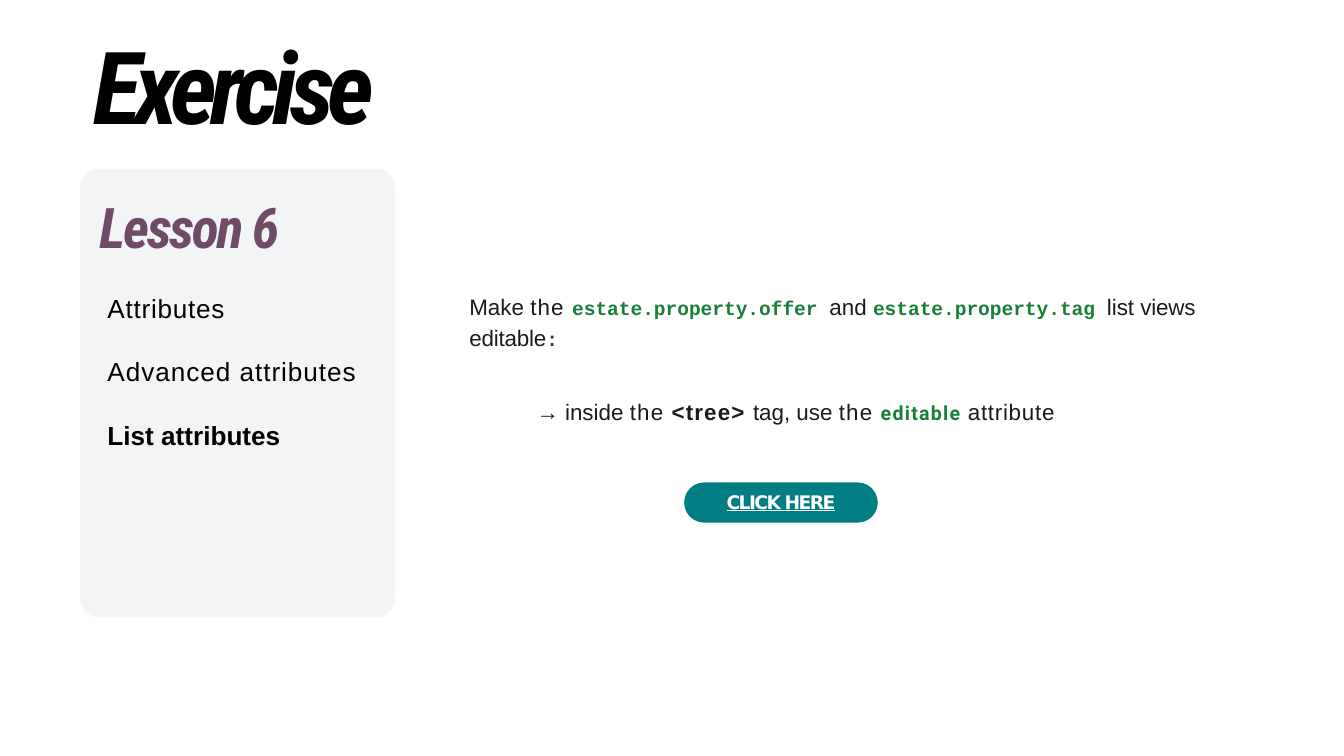
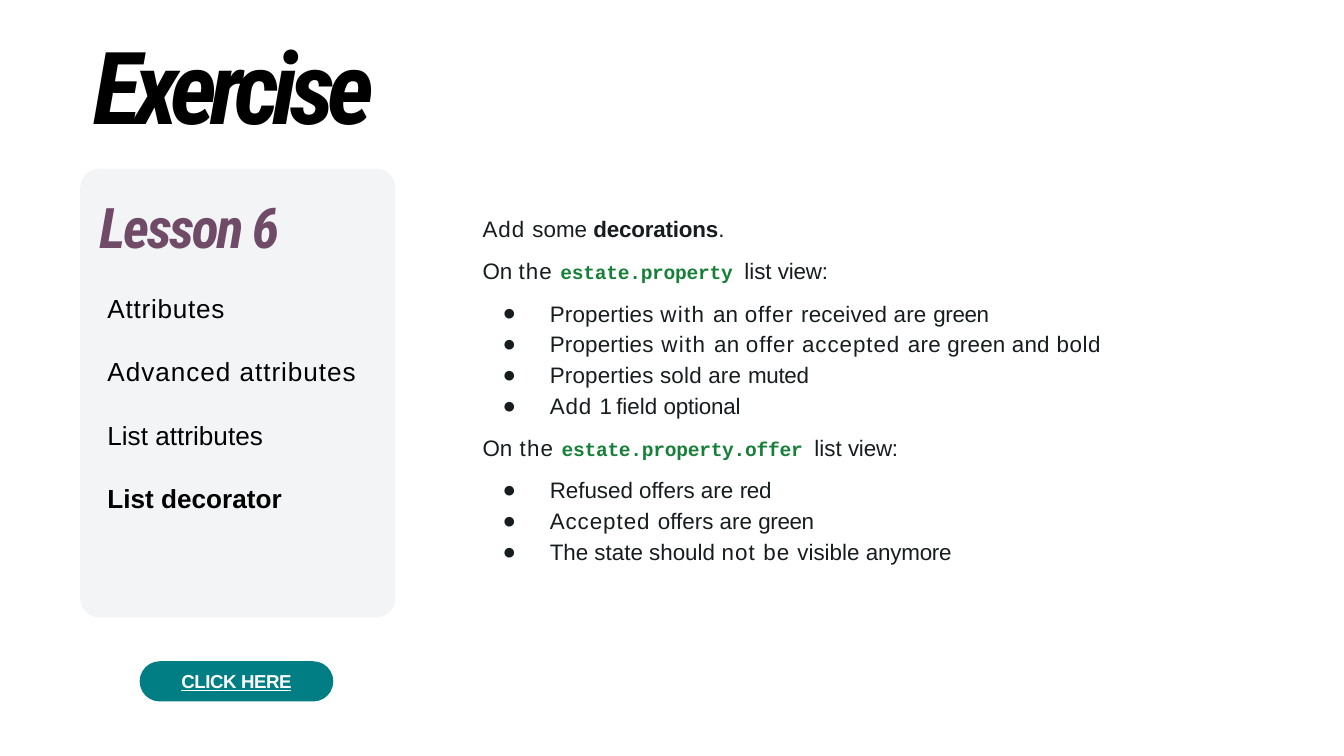
"""Build two lesson exercise slides about list views."""
import lxml.etree
import pptx
import pptx.dml.color
import pptx.enum.shapes
import pptx.enum.text
import pptx.oxml.ns
import pptx.util
from pptx.util import Cm

BLACK = pptx.dml.color.RGBColor(0x00, 0x00, 0x00)
WHITE = pptx.dml.color.RGBColor(0xFF, 0xFF, 0xFF)
INK = pptx.dml.color.RGBColor(0x17, 0x1C, 0x1F)
GREY = pptx.dml.color.RGBColor(0x33, 0x33, 0x33)
GREEN = pptx.dml.color.RGBColor(0x17, 0x80, 0x38)
PLUM = pptx.dml.color.RGBColor(0x70, 0x4B, 0x67)
TEAL = pptx.dml.color.RGBColor(0x01, 0x7E, 0x83)
PANEL = pptx.dml.color.RGBColor(0xF2, 0xF4, 0xF6)

HEADING = "Roboto Condensed"
BODY = "Arial"
BOLD = {"bold": True}
CODE = {"name": "Courier New", "size": 10.5, "color": GREEN, "bold": True}
KEYWORD = {**CODE, "name": "Roboto"}
COLON = {**CODE, "color": GREY}


class LessonDeck:
    """Hold the lesson style and the slide being built."""

    def __init__(self):
        self.presentation = pptx.Presentation()
        self.presentation.slide_width = Cm(25.4)
        self.presentation.slide_height = Cm(14.29)
        self.slide = None

    def style(self, font, name=None, size=None, color=None, bold=None, italic=None):
        """Apply the given font settings."""
        if name:
            font.name = name
        if size:
            font.size = pptx.util.Pt(size)
        if color is not None:
            font.color.rgb = color
        if bold is not None:
            font.bold = bold
        if italic is not None:
            font.italic = italic

    def add_runs(self, paragraph, runs):
        """Add (text, letter spacing, font settings) runs."""
        for text, spacing, *settings in runs:
            run = paragraph.add_run()
            run.text = text
            if settings:
                self.style(run.font, **settings[0])
            if spacing:
                run.font._element.set("spc", str(round(spacing * 100)))

    def format_paragraph(self, paragraph, left=0.03, bullet=None, before=0, line=1.0, **font):
        """Set bullet, indent, spacing and font of a paragraph."""
        properties = paragraph._p.get_or_add_pPr()
        properties.set("marL", str(Cm(left)))
        properties.set("indent", str(Cm(-0.89) if bullet else 0))
        tag = "a:buChar" if bullet else "a:buNone"
        mark = lxml.etree.SubElement(properties, pptx.oxml.ns.qn(tag))
        if bullet:
            mark.set("char", bullet)
        paragraph.alignment = pptx.enum.text.PP_ALIGN.LEFT
        paragraph.space_before = pptx.util.Pt(before)
        paragraph.space_after = pptx.util.Pt(0)
        paragraph.line_spacing = line
        self.style(paragraph.font, **font)

    def place(self, placeholder, left, top, width, height):
        """Move a placeholder and return its cleared text frame."""
        placeholder.left, placeholder.top = Cm(left), Cm(top)
        placeholder.width, placeholder.height = Cm(width), Cm(height)
        frame = placeholder.text_frame
        frame.margin_left = frame.margin_right = frame.margin_bottom = 0
        frame.margin_top = Cm(0.03)
        frame.word_wrap = True
        frame.auto_size = pptx.enum.text.MSO_AUTO_SIZE.NONE
        frame.vertical_anchor = pptx.enum.text.MSO_ANCHOR.TOP
        return frame

    def next_paragraph(self, frame):
        """Return the empty first paragraph or a new one."""
        first = frame.paragraphs[0]
        return frame.add_paragraph() if first.runs else first

    def rounded_box(self, left, top, width, height, radius, color):
        """Add a rounded rectangle of one colour."""
        shape = self.slide.shapes.add_shape(
            pptx.enum.shapes.MSO_SHAPE.ROUNDED_RECTANGLE,
            Cm(left), Cm(top), Cm(width), Cm(height))
        shape.adjustments[0] = radius
        shape.shadow.inherit = False
        shape.fill.solid()
        shape.fill.fore_color.rgb = color
        shape.line.fill.background()
        return shape

    def start_slide(self, title):
        """Add a slide with its title."""
        layout = self.presentation.slide_layouts[3]
        self.slide = self.presentation.slides.add_slide(layout)
        frame = self.place(self.slide.shapes.title, 0.5, 0.41, 8.56, 2.46)
        paragraph = frame.paragraphs[0]
        self.add_runs(paragraph, [(title, -3.8)])
        self.format_paragraph(paragraph, left=1.27, name=HEADING, size=54,
                              color=BLACK, bold=True, italic=True)

    def sidebar(self, lesson, topics):
        """Add the lesson panel, with the last topic as the current one."""
        panel = self.rounded_box(1.53, 3.2, 5.93, 8.46, 0.06, PANEL)
        panel.line.color.rgb = PANEL
        panel.line.width = pptx.util.Pt(0.75)
        self.slide.shapes.element.insert(2, panel.element)
        frame = self.place(self.slide.placeholders[1], 1.85, 3.61, 5.41,
                           1.29 + 1.22 * len(topics))
        heading = frame.paragraphs[0]
        self.add_runs(heading, [(lesson, -1.2)])
        self.format_paragraph(heading, name=HEADING, size=30, color=PLUM,
                              bold=True, italic=True)
        for topic, spacing in topics:
            paragraph = frame.add_paragraph()
            self.add_runs(paragraph, [(topic, spacing)])
            self.format_paragraph(paragraph, left=0.18, before=2.5, line=1.88,
                                  name=BODY, size=14, color=BLACK,
                                  bold=topic == topics[-1][0])

    def instructions(self, position, paragraphs):
        """Fill the main text from (runs, paragraph settings) pairs."""
        frame = self.place(self.slide.placeholders[2], *position)
        for runs, settings in paragraphs:
            paragraph = self.next_paragraph(frame)
            self.add_runs(paragraph, runs)
            self.format_paragraph(paragraph, name=BODY, size=12, color=INK, **settings)

    def button(self, left, top, font_name, spacing):
        """Add the pill-shaped button."""
        shape = self.rounded_box(left, top, 3.66, 0.76, 0.5, TEAL)
        frame = shape.text_frame
        frame.margin_left = frame.margin_right = 0
        frame.margin_top = frame.margin_bottom = 0
        frame.vertical_anchor = pptx.enum.text.MSO_ANCHOR.MIDDLE
        paragraph = frame.paragraphs[0]
        self.add_runs(paragraph, [("CLICK HERE", spacing)])
        paragraph.alignment = pptx.enum.text.PP_ALIGN.CENTER
        self.style(paragraph.font, name=font_name, size=10, color=WHITE, bold=True)
        paragraph.font.underline = True


def main():
    """Build and save the slides."""
    deck = LessonDeck()
    topics = [("Attributes", 0.4), ("Advanced attributes", 0.5),
              ("List attributes", 0), ("List decorator", 0)]

    deck.start_slide("Exercise")
    deck.sidebar("Lesson 6", topics[:3])
    deck.instructions((8.84, 5.44, 14.2, 2.64), [
        ([("Make ", 0), ("the ", 0.6), ("estate.property.offer ", 0, CODE),
          ("and ", 0), ("estate.property.tag ", 0, CODE), ("list ", 0),
          ("views editable", -0.1), (":", -0.1, COLON)], {"line": 1.15}),
        ([("→ inside ", 0), ("the ", 0.6), ("<tree> ", 0.6, BOLD), ("tag, use ", 0),
          ("the ", 0.6), ("editable ", 0.7, KEYWORD), ("attribute", 0.4)],
         {"left": 1.3, "before": 25}),
    ])
    deck.button(12.93, 9.12, "DejaVu Sans", -0.8)

    deck.start_slide("Exercise")
    deck.sidebar("Lesson 6", topics)
    spaced = {"before": 8.2}
    first_item = {"left": 1.3, "bullet": "●", "before": 8.2}
    item = {**first_item, "before": 2.1}
    deck.instructions((9.09, 4.04, 11.94, 6.65), [
        ([("Add ", 0.5), ("some ", 0), ("decorations", -0.1, BOLD), (".", -0.1)], {}),
        ([("On ", 0), ("the ", 0.6), ("estate.property ", -0.1, CODE),
          ("list ", 0), ("view:", -0.1)], spaced),
        ([("Properties ", 0.1), ("with ", 0.7), ("an ", 0.1), ("offer ", 0.5),
          ("received are ", 0.1), ("green", -0.2)], first_item),
        ([("Properties", 0.1), (" with ", 0.7), ("an ", 0.1), ("offer accepted ", 0.5),
          ("are green and ", 0.1), ("bold", 0.3)], item),
        ([("Properties sold are ", 0.1), ("muted", -0.2)], item),
        ([("Add ", 0.5), ("1 ", -1.1), ("field ", 0), ("optional", -0.1)], item),
        ([("On", 0), (" the ", 0.6), ("estate.property.offer ", -0.1, CODE),
          ("list ", 0), ("view:", -0.1)], spaced),
        ([("Refused offers are ", 0), ("red", -0.2)], first_item),
        ([("Accepted ", 0.5), ("offers are ", 0), ("green", -0.2)], item),
        ([("The state should ", 0), ("not ", 0.6), ("be ", 0.5), ("visible ", 0),
          ("anymore", -0.1)], item),
    ])
    deck.button(2.64, 12.5, BODY, -0.2)

    deck.presentation.save("out.pptx")


if __name__ == "__main__":
    main()
